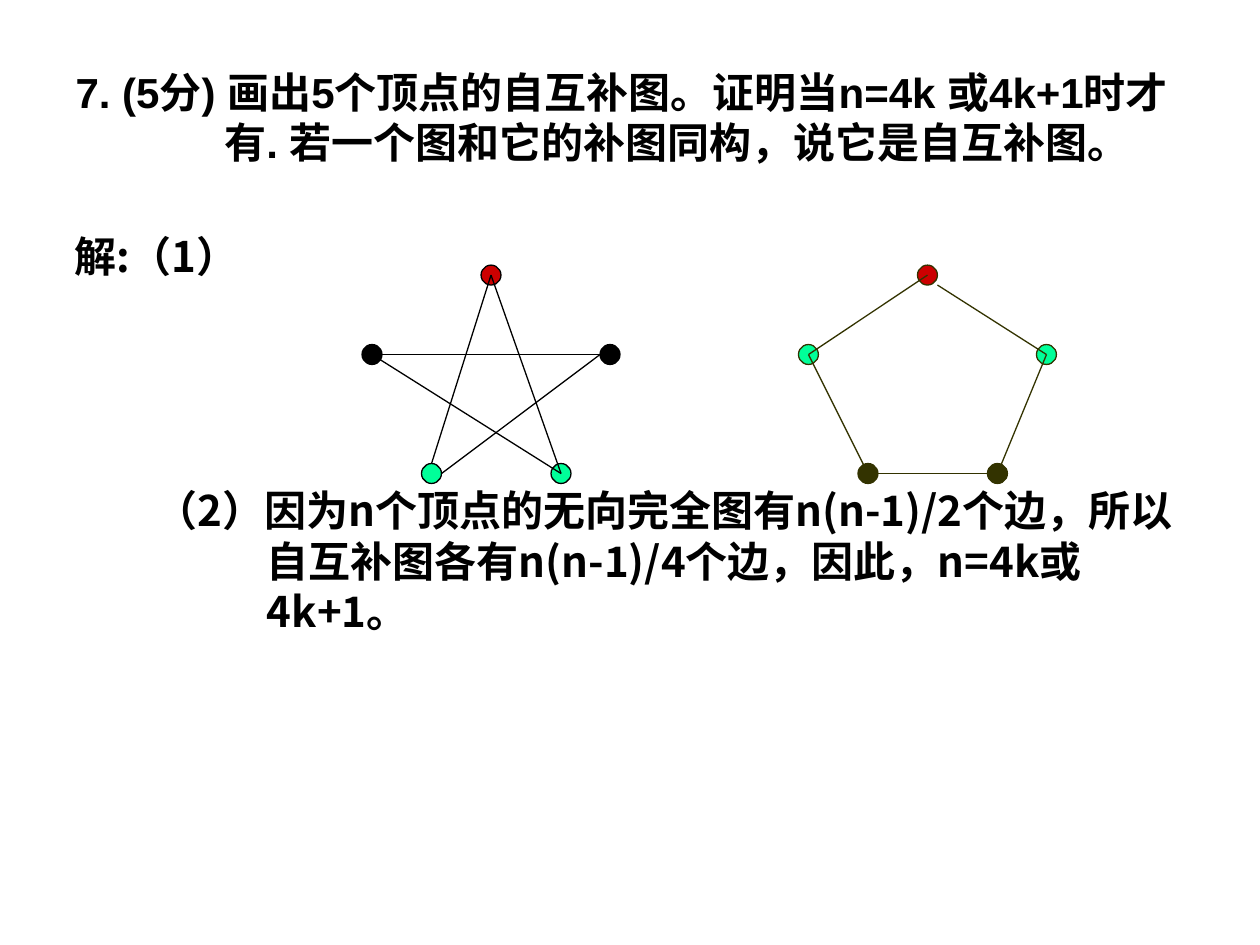
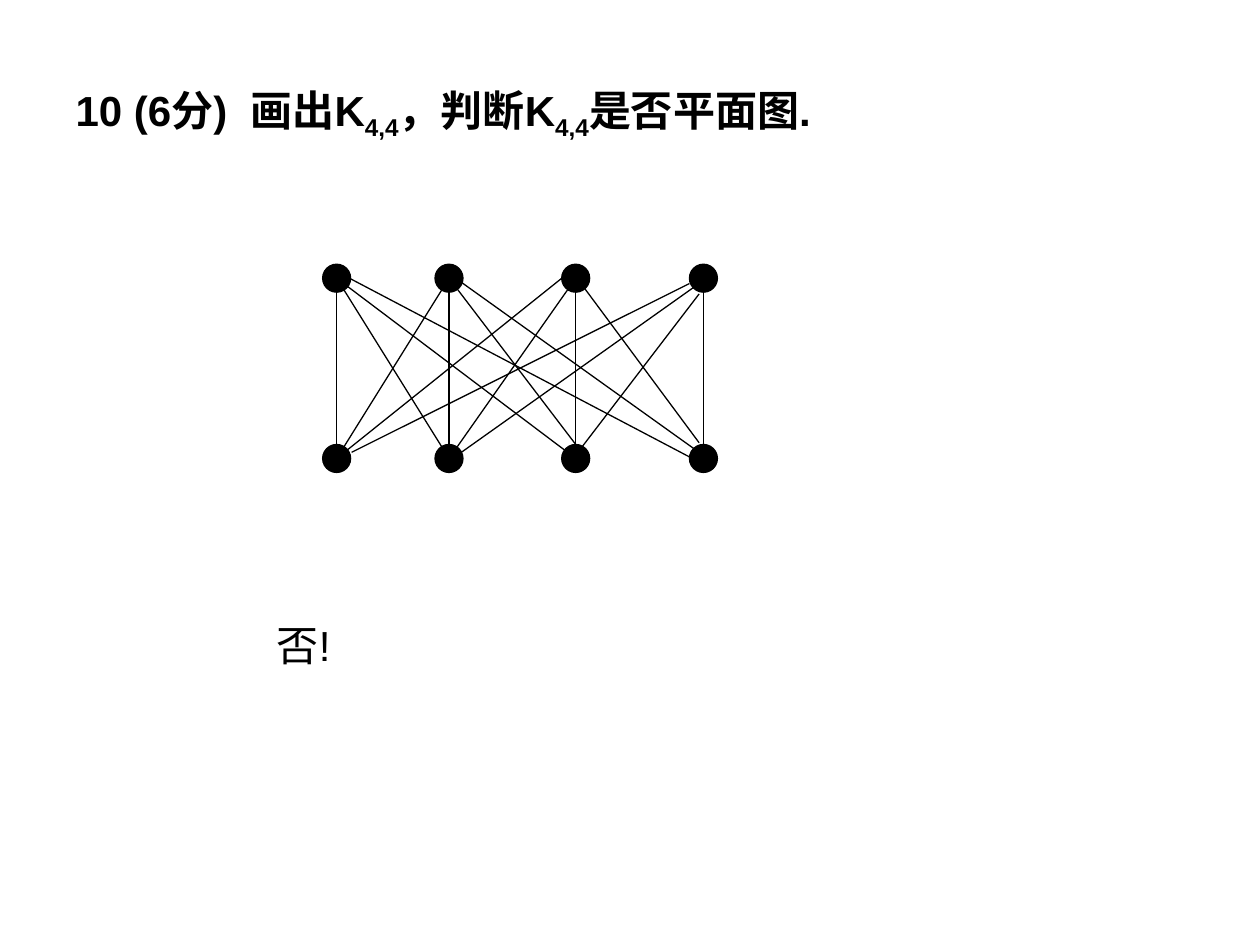
from itertools import product

from lxml.etree import SubElement
from pptx import Presentation
from pptx.dml.color import RGBColor
from pptx.enum.shapes import MSO_CONNECTOR, MSO_SHAPE
from pptx.enum.text import MSO_ANCHOR as Anchor, MSO_AUTO_SIZE, PP_ALIGN
from pptx.oxml.ns import qn
from pptx.util import Pt

BLACK = RGBColor(0x00, 0x00, 0x00)
RED = RGBColor(0xCC, 0x00, 0x00)
GREEN = RGBColor(0x00, 0xFF, 0x99)
OLIVE = RGBColor(0x33, 0x33, 0x00)

LATIN_FONT, CJK_FONT = "Arial", "Noto Sans CJK SC"
TEXT_SIZE, LINE_PITCH = 24, 28.8
TITLE_BOX = (36, 21.6, 648, 90)

# Text is a list of (words, is_subscript)
COMPLEMENT_TITLE = [
    ("7. (5分) 画出5个顶点的自互补图。证明当n=4k 或4k+1时才有. "
     "若一个图和它的补图同构，说它是自互补图。", False)]
SOLUTION_LABEL = [("解:（1）", False)]
SOLUTION_PROOF = [
    ("（2）因为n个顶点的无向完全图有n(n-1)/2个边，"
     "所以自互补图各有n(n-1)/4个边，因此，n=4k或4k+1。", False)]
K44_TITLE = [("10 (6分)  画出K", False), ("4,4", True), ("，判断K", False),
             ("4,4", True), ("是否平面图.", False)]
K44_ANSWER = [("否!", False)]

# Five vertices, measured from the apex
FIVE_VERTICES = {"apex": (0, 0), "left": (-68, 45.4), "right": (68, 45.4),
                 "foot_left": (-34, 113.4), "foot_right": (40, 113.4)}
FIVE_DIAMETER = 11.4
RADIUS = FIVE_DIAMETER / 2
CENTRE = (0, 0)

# Edges are (vertex, vertex, offset of the first end, offset of the second end)
STAR = {
    "apex": (280.6, 157.2),
    "line": BLACK,
    "fills": (RED, BLACK, BLACK, GREEN, GREEN),
    "edges": [
        ("apex", "foot_left", CENTRE, (0, -RADIUS)),
        ("left", "right", (RADIUS, 0), CENTRE),
        ("right", "foot_left", (-RADIUS, 0), (RADIUS, 0)),
        ("left", "foot_right", CENTRE, CENTRE),
        ("apex", "foot_right", CENTRE, CENTRE),
    ],
}
PENTAGON = {
    "apex": (530, 157.2),
    "line": OLIVE,
    "fills": (RED, GREEN, GREEN, OLIVE, OLIVE),
    "edges": [
        ("apex", "left", CENTRE, CENTRE),
        ("apex", "right", (RADIUS, RADIUS), CENTRE),
        ("left", "foot_left", CENTRE, CENTRE),
        ("foot_left", "foot_right", (-RADIUS, 0), CENTRE),
        ("right", "foot_right", CENTRE, CENTRE),
    ],
}

K44_COLUMNS = (192.4, 256.6, 329, 402)
K44_ROWS = {"top": 159, "bottom": 262}
K44_DIAMETER = 16
# (top column, bottom column): end offsets of the edges that miss the centres
K44_OFFSETS = {
    (0, 3): ((3.5, -2), (-2.5, 2)),
    (1, 2): (CENTRE, (0, -8)),
    (1, 3): ((1, -2), (-2.5, -3.5)),
    (2, 0): ((-8, 0), CENTRE),
    (2, 3): ((3, 3), (-2.5, -9)),
    (3, 0): ((-8, 3), (8.5, -3.5)),
    (3, 1): ((-2.5, 3), (7, -3.5)),
    (3, 2): ((-2.5, 9), (-3, 2)),
}


def shift(point, offset):
    return point[0] + offset[0], point[1] + offset[1]


def write(frame, words, font_name, bold=True, anchor=Anchor.MIDDLE, hanging=0):
    frame.vertical_anchor = anchor
    paragraph = frame.paragraphs[0]
    paragraph.alignment = PP_ALIGN.LEFT
    paragraph.line_spacing = Pt(LINE_PITCH)
    for text, is_subscript in words:
        run = paragraph.add_run()
        run.text = text
        if is_subscript:
            run._r.get_or_add_rPr().set("baseline", "-25000")

    font = paragraph.font
    font.size = Pt(TEXT_SIZE)
    font.bold = bold
    font.color.rgb = BLACK
    font.name = font_name
    SubElement(font._element, qn("a:ea")).set("typeface", CJK_FONT)
    properties = paragraph._p.get_or_add_pPr()
    properties.set("marL", str(Pt(hanging)))
    properties.set("indent", str(-Pt(hanging)))


def add_titled_slide(deck, words, hanging=0):
    slide = deck.slides.add_slide(deck.slide_layouts[5])
    title = slide.shapes.title
    title.left, title.top, title.width, title.height = map(Pt, TITLE_BOX)
    title.text_frame.auto_size = MSO_AUTO_SIZE.NONE
    write(title.text_frame, words, LATIN_FONT, hanging=hanging)
    return slide


def add_text(slide, box, words, font_name, wrap=False, **style):
    frame = slide.shapes.add_textbox(*map(Pt, box)).text_frame
    frame.word_wrap = wrap
    write(frame, words, font_name, **style)


def add_vertex(shapes, centre, diameter, fill, line):
    corner = shift(centre, (-diameter / 2, -diameter / 2))
    vertex = shapes.add_shape(MSO_SHAPE.OVAL, *map(Pt, (*corner, diameter, diameter)))
    vertex.shadow.inherit = False
    vertex.fill.solid()
    vertex.fill.fore_color.rgb = fill
    vertex.line.color.rgb = line
    vertex.line.width = Pt(0.75)


def add_edge(shapes, start, end, colour):
    edge = shapes.add_connector(MSO_CONNECTOR.STRAIGHT, *map(Pt, (*start, *end)))
    edge.line.color.rgb = colour
    edge.line.width = Pt(0.75)
    SubElement(edge._element.spPr, qn("a:effectLst"))


def draw_graph(shapes, vertices, fills, edges, diameter, line):
    for centre, fill in zip(vertices.values(), fills):
        add_vertex(shapes, centre, diameter, fill, line)
    for first, second, first_offset, second_offset in edges:
        add_edge(shapes, shift(vertices[first], first_offset),
                 shift(vertices[second], second_offset), line)


def build_complement_slide(deck):
    slide = add_titled_slide(deck, COMPLEMENT_TITLE, hanging=85)
    add_text(slide, (35.3, 128.2, 131, 36), SOLUTION_LABEL, CJK_FONT)
    add_text(slide, (82, 273.6, 617.8, 122.4), SOLUTION_PROOF, CJK_FONT,
             wrap=True, anchor=Anchor.TOP, hanging=63.4)
    for graph in (STAR, PENTAGON):
        vertices = {name: shift(graph["apex"], offset)
                    for name, offset in FIVE_VERTICES.items()}
        draw_graph(slide.shapes.add_group_shape().shapes, vertices,
                   graph["fills"], graph["edges"], FIVE_DIAMETER, graph["line"])


def build_k44_slide(deck):
    slide = add_titled_slide(deck, K44_TITLE)
    vertices = {(row, column): (x, y) for row, y in K44_ROWS.items()
                for column, x in enumerate(K44_COLUMNS)}
    edges = [(("top", upper), ("bottom", lower),
              *K44_OFFSETS.get((upper, lower), (CENTRE, CENTRE)))
             for upper, lower in product(range(len(K44_COLUMNS)), repeat=2)]
    draw_graph(slide.shapes, vertices, [BLACK] * len(vertices), edges,
               K44_DIAMETER, BLACK)
    add_text(slide, (151.2, 350.6, 50.4, 36), K44_ANSWER, LATIN_FONT,
             bold=False, anchor=Anchor.TOP)


def main():
    deck = Presentation()
    deck.slide_width, deck.slide_height = Pt(720), Pt(540)
    build_complement_slide(deck)
    build_k44_slide(deck)
    deck.save("out.pptx")


if __name__ == "__main__":
    main()
